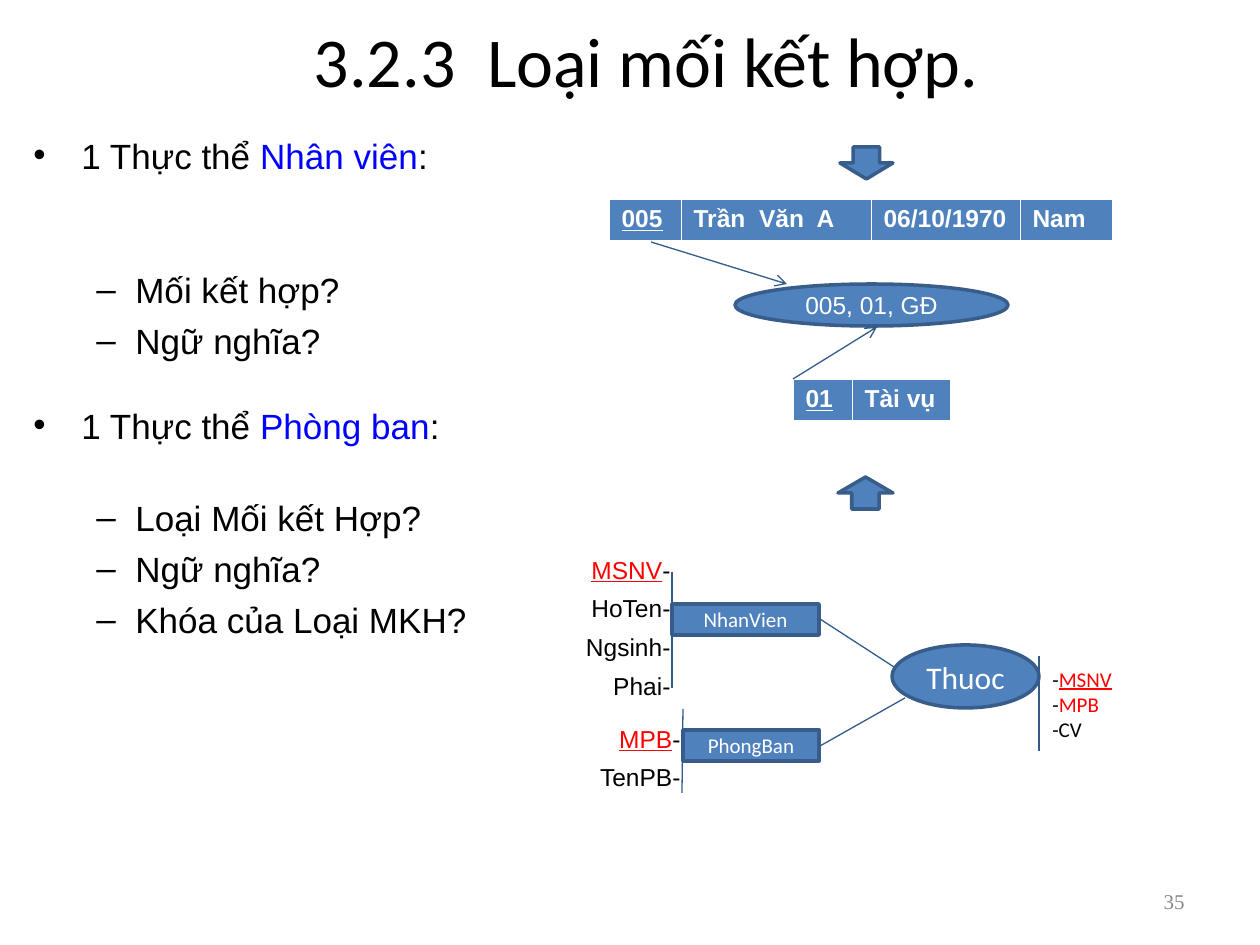
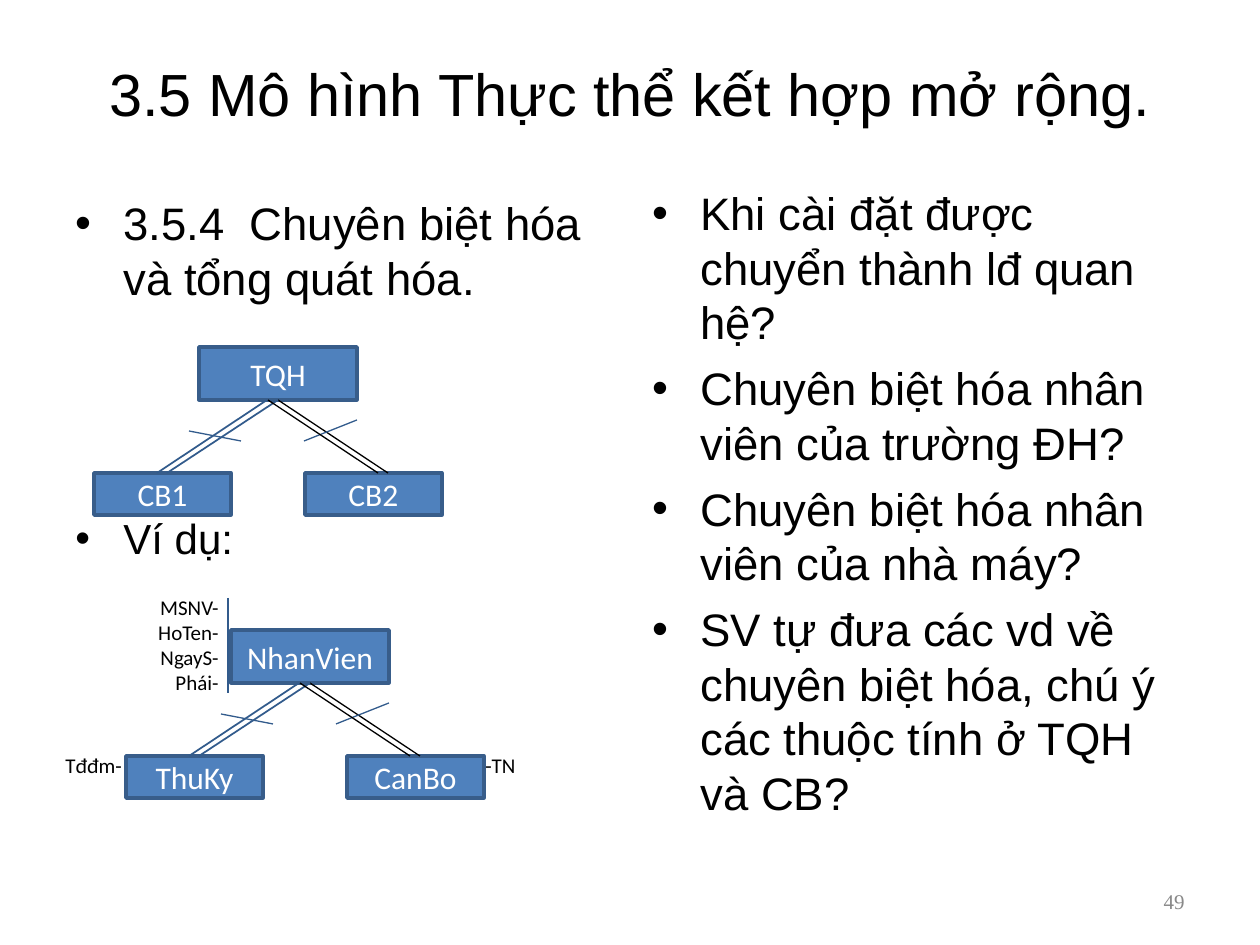
"""Build two slides on relationship types and the extended entity-relationship model."""
from lxml.etree import SubElement
from pptx import Presentation
from pptx.dml.color import RGBColor
from pptx.enum.shapes import MSO_CONNECTOR, MSO_SHAPE
from pptx.enum.text import MSO_ANCHOR, PP_ALIGN
from pptx.oxml import parse_xml
from pptx.oxml.ns import nsdecls, qn
from pptx.util import Pt

SCALE = 914400 / 126
BLACK = RGBColor(0x00, 0x00, 0x00)
WHITE = RGBColor(0xFF, 0xFF, 0xFF)
RED = RGBColor(0xFF, 0x00, 0x00)
LINK_BLUE = RGBColor(0x00, 0x00, 0xFF)
FILL_BLUE = RGBColor(0x4F, 0x81, 0xBD)
EDGE_BLUE = RGBColor(0x38, 0x5D, 0x8A)
LINE_BLUE = RGBColor(0x32, 0x5B, 0x8C)
GRAY = RGBColor(0x89, 0x89, 0x89)


def emu(*pixels):
    return [round(pixel * SCALE) for pixel in pixels]


def write(frame, text, font="Arial", size=14, color=BLACK, bold=False, underline=False,
          align=PP_ALIGN.LEFT, before=0, spacing=None, bullet=None, level=0, indent=(48, 48)):
    para = frame.add_paragraph() if frame.text else frame.paragraphs[0]
    if bullet:
        margin, hang = emu(*indent)
        properties = para._p.get_or_add_pPr()
        properties.set("marL", str(margin))
        properties.set("indent", str(-hang))
        SubElement(properties, qn("a:buFont"), typeface="Arial")
        SubElement(properties, qn("a:buChar"), char=bullet)
    para.level = level
    para.alignment = align
    para.space_before = Pt(before)
    if spacing:
        para.line_spacing = spacing
    spans = [(text, color, underline)] if isinstance(text, str) else text
    for words, span_color, underlined in spans:
        span = para.add_run()
        span.text = words
        span.font.name = font
        span.font.size = Pt(size)
        span.font.bold = bold
        span.font.underline = underlined
        span.font.color.rgb = span_color


deck = Presentation()
deck.slide_width, deck.slide_height = emu(1260, 945)
relation_page, extended_page = [deck.slides.add_slide(deck.slide_layouts[6]) for _ in range(2)]

centered = {"align": PP_ALIGN.CENTER}
right = {"align": PP_ALIGN.RIGHT}
small = {"font": "Calibri", "size": 12}
number = {"font": "Times New Roman", "size": 12, "color": GRAY, **right}
topic = {"size": 20, "bullet": "•", "spacing": 0.8}
question = {"size": 20, "bullet": "–", "level": 1, "indent": (102, 39)}
point = {"size": 26, "bullet": "•"}
attribute = {"spacing": 0.8, **right}

text_boxes = [
    (relation_page, (95, 21, 1102, 78), MSO_ANCHOR.MIDDLE, [
        ("3.2.3  Loại mối kết hợp.", {"font": "Calibri", "size": 40, **centered})]),
    (relation_page, (21, 136, 494, 599), MSO_ANCHOR.TOP, [
        ([("1 Thực thể ", BLACK, False), ("Nhân viên", LINK_BLUE, False), (":", BLACK, False)], topic),
        ("Mối kết hợp?", {**question, "before": 53}),
        ("Ngữ nghĩa?", {**question, "before": 5}),
        ([("1 Thực thể ", BLACK, False), ("Phòng ban", LINK_BLUE, False), (":", BLACK, False)],
         {**topic, "before": 29}),
        ("Loại Mối kết Hợp?", {**question, "before": 29}),
        ("Ngữ nghĩa?", {**question, "before": 5}),
        ("Khóa của Loại MKH?", {**question, "before": 5})]),
    (relation_page, (1040, 660, 116, 88), MSO_ANCHOR.TOP, [
        ([("-", BLACK, False), ("MSNV", RED, True)], small),
        ([("-", BLACK, False), ("MPB", RED, False)], small),
        ("-CV", small)]),
    (relation_page, (557, 554, 126, 152), MSO_ANCHOR.TOP, [
        ([("MSNV", RED, True), ("-", BLACK, False)], attribute),
        *[(name, {**attribute, "before": 8.8}) for name in ("HoTen-", "Ngsinh-", "Phai-")]]),
    (relation_page, (577, 723, 116, 76), MSO_ANCHOR.TOP, [
        ([("MPB", RED, True), ("-", BLACK, False)], attribute),
        ("TenPB-", {**attribute, "before": 8.8})]),
    (extended_page, (63, 38, 1134, 110), MSO_ANCHOR.MIDDLE, [
        ("3.5 Mô hình Thực thể kết hợp mở rộng.", {"size": 34, **centered})]),
    (extended_page, (63, 189, 557, 655), MSO_ANCHOR.TOP, [
        ("3.5.4  Chuyên biệt hóa và tổng quát hóa.", point),
        ("Ví dụ:", {**point, "size": 24, "before": 119})]),
    (extended_page, (640, 179, 557, 651), MSO_ANCHOR.TOP, [
        ("Khi cài đặt được chuyển thành lđ quan hệ?", point),
        ("Chuyên biệt hóa nhân viên của trường ĐH?", {**point, "before": 6.5}),
        ("Chuyên biệt hóa nhân viên của nhà máy?", {**point, "before": 6.5}),
        ("SV tự đưa các vd về chuyên biệt hóa, chú ý các thuộc tính ở TQH và CB?",
         {**point, "before": 6.5})]),
    (extended_page, (136, 588, 95, 113), MSO_ANCHOR.TOP, [
        (name, {**small, **right}) for name in ("MSNV-", "HoTen-", "NgayS-", "Phái-")]),
    (extended_page, (53, 746, 95, 38), MSO_ANCHOR.TOP, [("Tđđm-", small)]),
    (extended_page, (473, 746, 73, 38), MSO_ANCHOR.TOP, [("-TN", small)]),
]
for page, label in ((relation_page, "35"), (extended_page, "49")):
    text_boxes.append((page, (903, 876, 294, 50), MSO_ANCHOR.MIDDLE, [(label, number)]))

for page, place, anchor, paragraphs in text_boxes:
    frame = page.shapes.add_textbox(*emu(*place)).text_frame
    frame.word_wrap = True
    frame.vertical_anchor = anchor
    for text, style in paragraphs:
        write(frame, text, **style)

records = [
    ((609, 199), (72, 190, 149, 92), ("005", "Trần  Văn  A", "06/10/1970", "Nam")),
    ((793, 379), (59, 98), ("01", "Tài vụ")),
]
for corner, widths, values in records:
    place = emu(*corner, sum(widths), 42)
    table = page_table = relation_page.shapes.add_table(1, len(values), *place).table
    for index, (width, value) in enumerate(zip(emu(*widths), values)):
        table.columns[index].width = width
        cell = table.cell(0, index)
        cell.fill.solid()
        cell.fill.fore_color.rgb = FILL_BLUE
        write(cell.text_frame, value, color=WHITE, bold=True, underline=index == 0)
        for order, side in enumerate(("lnL", "lnR")):
            cell._tc.tcPr.insert(order, parse_xml(
                f'<a:{side} {nsdecls("a")} w="5715"><a:solidFill>'
                f'<a:srgbClr val="{WHITE}"/></a:solidFill></a:{side}>'))

shapes = [
    (relation_page, MSO_SHAPE.DOWN_ARROW, (840, 147, 53, 32), "", "Arial", 14),
    (relation_page, MSO_SHAPE.UP_ARROW, (838, 477, 55, 32), "", "Arial", 14),
    (relation_page, MSO_SHAPE.OVAL, (735, 284, 273, 42), "005, 01, GĐ", "Arial", 14),
    (relation_page, MSO_SHAPE.RECTANGLE, (672, 604, 147, 31), "NhanVien", "Calibri", 12),
    (relation_page, MSO_SHAPE.RECTANGLE, (683, 730, 136, 31), "PhongBan", "Calibri", 12),
    (relation_page, MSO_SHAPE.OVAL, (892, 645, 147, 63), "Thuoc", "Calibri", 18),
]
lines = [
    (relation_page, (793, 379, 877, 327), LINE_BLUE, 0.75, True),
    (relation_page, (651, 242, 787, 284), LINE_BLUE, 0.75, True),
    (relation_page, (672, 572, 672, 688), LINE_BLUE, 0.75, False),
    (relation_page, (683, 709, 682, 793), LINE_BLUE, 0.75, False),
    (relation_page, (820, 619, 894, 667), LINE_BLUE, 0.75, False),
    (relation_page, (820, 746, 905, 698), LINE_BLUE, 0.75, False),
    (relation_page, (1039, 656, 1039, 751), LINE_BLUE, 0.75, False),
    (extended_page, (228, 598, 228, 693), LINE_BLUE, 0.75, False),
]
trees = [
    (199, 347, 106, ("TQH", "CB1", "CB2")),
    (231, 630, 116, ("NhanVien", "ThuKy", "CanBo")),
]
branches = [
    ((68, 53, -42, 126), LINE_BLUE, 1),
    ((79, 53, 189, 126), BLACK, 0.75),
    ((-10, 84, 42, 94), LINE_BLUE, 0.75),
    ((158, 73, 105, 94), LINE_BLUE, 0.75),
    ((79, 53, -32, 126), LINE_BLUE, 1),
    ((69, 53, 179, 126), BLACK, 0.75),
]
for left, top, right_child, names in trees:
    nodes = [(0, 0, 158, 53), (-105, 126, 137, 42), (right_child, 126, 137, 42)]
    for (x, y, width, height), name in zip(nodes, names):
        place = (left + x, top + y, width, height)
        shapes.append((extended_page, MSO_SHAPE.RECTANGLE, place, name, "Calibri", 18))
    for (x1, y1, x2, y2), color, weight in branches:
        ends = (left + x1, top + y1, left + x2, top + y2)
        lines.append((extended_page, ends, color, weight, False))

for page, kind, place, text, font, size in shapes:
    shape = page.shapes.add_shape(kind, *emu(*place))
    shape.shadow.inherit = False
    shape.fill.solid()
    shape.fill.fore_color.rgb = FILL_BLUE
    shape.line.color.rgb = EDGE_BLUE
    shape.line.width = Pt(2)
    if text:
        shape.text_frame.word_wrap = True
        shape.text_frame.vertical_anchor = MSO_ANCHOR.MIDDLE
        write(shape.text_frame, text, font=font, size=size, color=WHITE, **centered)

for page, ends, color, weight, has_arrow in lines:
    line = page.shapes.add_connector(MSO_CONNECTOR.STRAIGHT, *emu(*ends))
    line.line.color.rgb = color
    line.line.width = Pt(weight)
    if has_arrow:
        SubElement(line.line._get_or_add_ln(), qn("a:tailEnd"), type="arrow")
    SubElement(line._element.spPr, qn("a:effectLst"))

deck.save("out.pptx")
